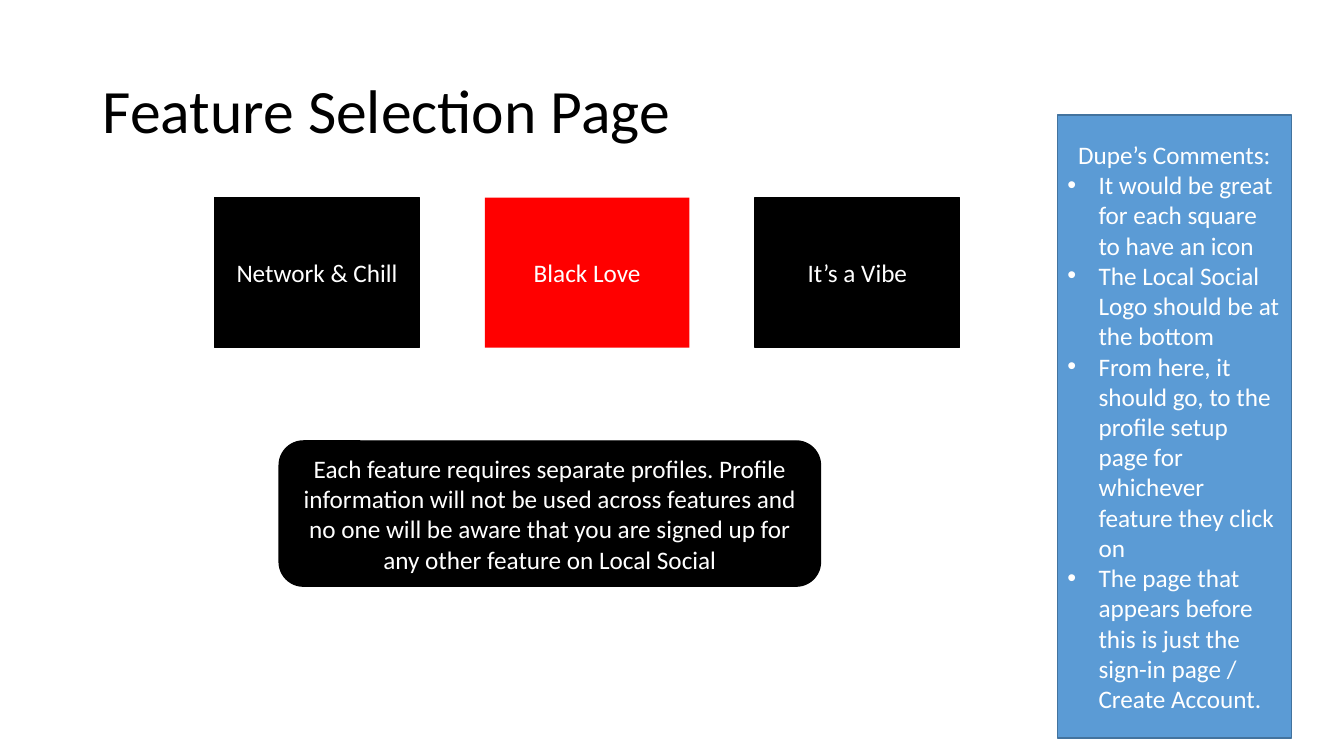
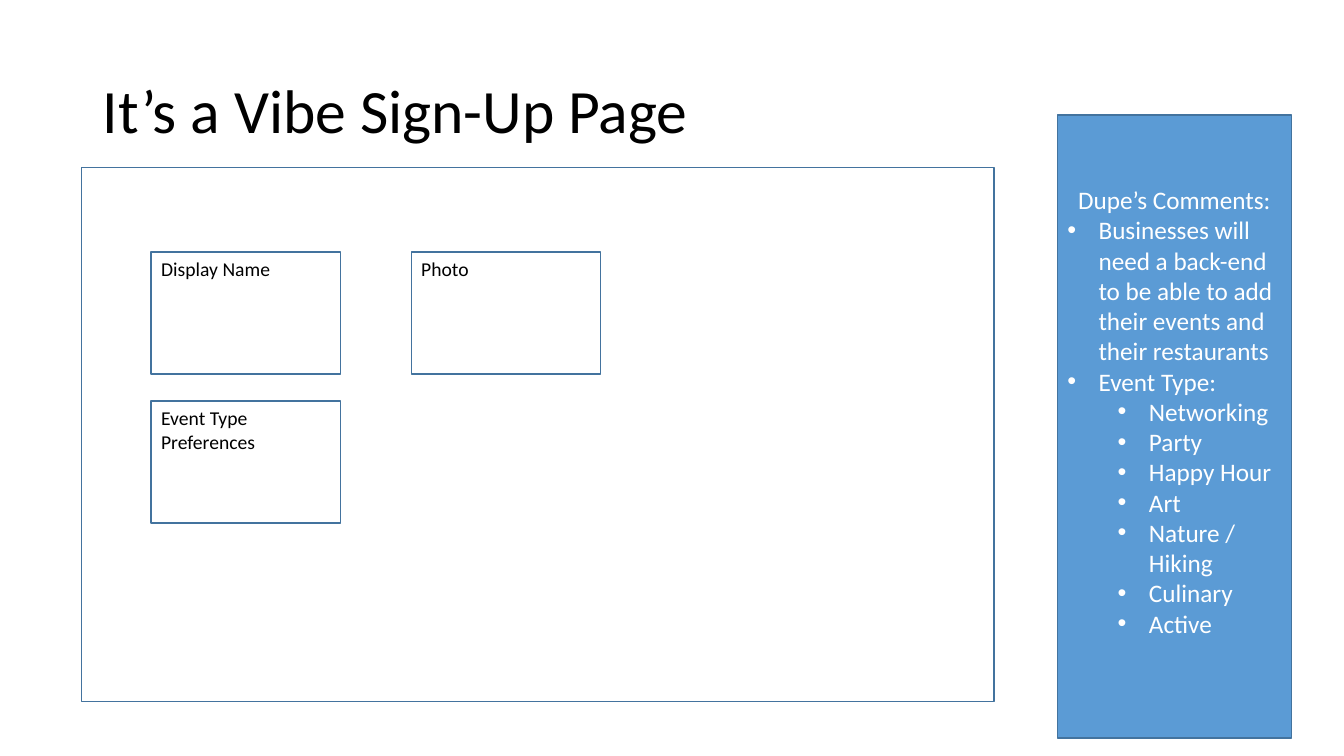
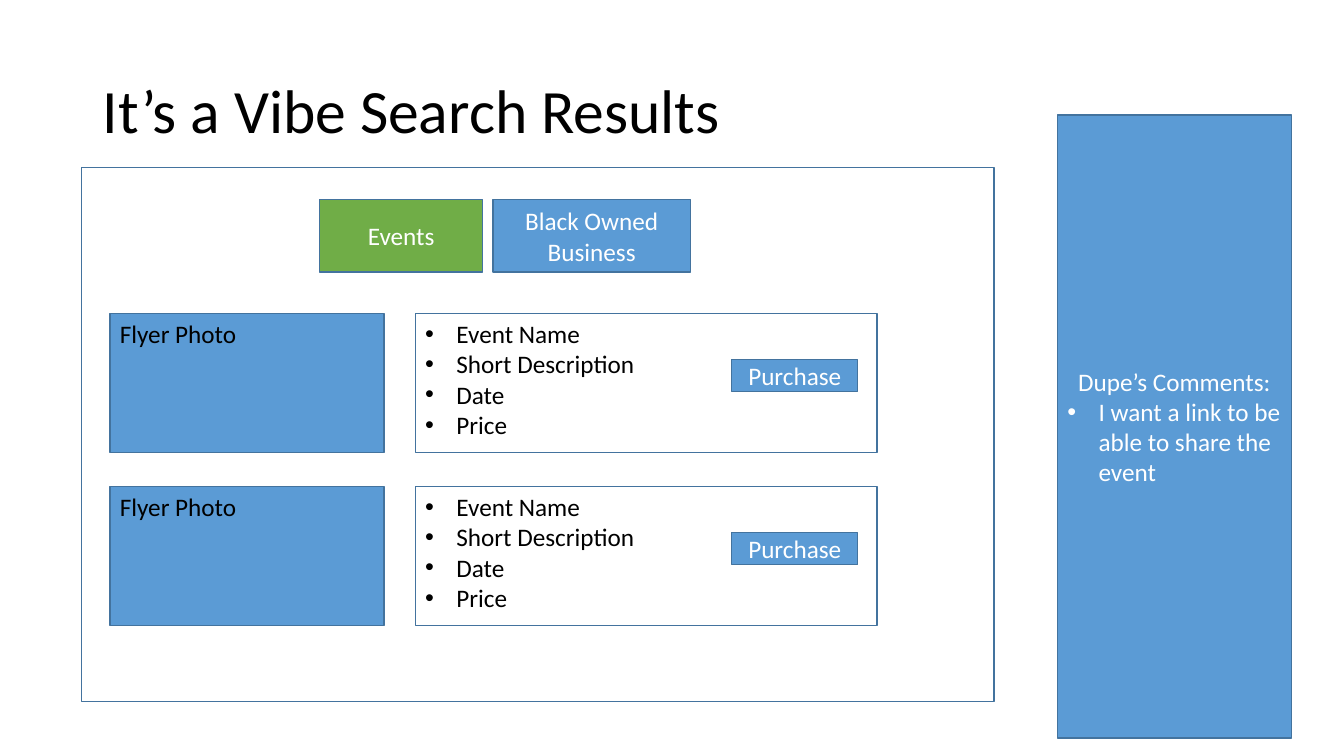
"""Build three wireframe slides for a social app, each with a comments panel."""

from dataclasses import dataclass, replace
from typing import Optional

from lxml.etree import SubElement
from pptx import Presentation
from pptx.dml.color import RGBColor
from pptx.enum.shapes import MSO_SHAPE
from pptx.enum.text import MSO_ANCHOR, MSO_AUTO_SIZE, PP_ALIGN
from pptx.oxml.ns import qn
from pptx.presentation import Presentation as Deck
from pptx.slide import Slide
from pptx.text.text import _Paragraph as Paragraph
from pptx.util import Inches, Pt

COLORS = {
    "black": "000000",
    "white": "FFFFFF",
    "red": "FF0000",
    "blue": "5B9BD5",
    "green": "70AD47",
    "outline": "43739E",
}
FONT = "Calibri"
TITLE_ONLY_LAYOUT = 5
SLIDE_WIDTH = Inches(13.33)
SLIDE_HEIGHT = Inches(7.5)
GRID_COLUMNS = 80
GRID_ROWS = 45
BULLET_INDENT = Inches(0.31)
LEVEL_INDENT = Inches(0.5)


@dataclass(frozen=True)
class Area:
    """A rectangle measured in grid columns and rows."""

    column: float
    row: float
    columns: float
    rows: float

    def moved(self, columns: float = 0, rows: float = 0) -> "Area":
        """Return the same rectangle shifted on the grid."""
        return replace(self, column=self.column + columns, row=self.row + rows)

    def lengths(self) -> tuple[int, int, int, int]:
        """Return left, top, width and height on the slide."""
        column_width = SLIDE_WIDTH / GRID_COLUMNS
        row_height = SLIDE_HEIGHT / GRID_ROWS
        return (
            round(self.column * column_width),
            round(self.row * row_height),
            round(self.columns * column_width),
            round(self.rows * row_height),
        )


@dataclass(frozen=True)
class Line:
    """A paragraph, bulleted when it has a level."""

    text: str
    level: Optional[int] = None


@dataclass(frozen=True)
class Style:
    """The look of a box and its text."""

    fill: Optional[str] = None
    outline: Optional[str] = "outline"
    color: str = "white"
    size: int = 18
    centered: bool = True
    rounded: bool = False
    bottom_inset: float = 0.05


@dataclass(frozen=True)
class Box:
    """A box with its place, look and text."""

    area: Area
    style: Style
    lines: tuple[Line, ...] = ()


TITLE_AREA = Area(5.52, 2.4, 69, 8.7)
PANEL_AREA = Area(62.94, 6.84, 13.92, 37.08)
FRAME_AREA = Area(4.86, 9.96, 54.3, 31.8)

BLACK_CARD = Style(fill="black", outline="black")
RED_CARD = Style(fill="red", outline=None)
NOTICE = replace(BLACK_CARD, rounded=True)
BLUE_BOX = Style(fill="blue")
GREEN_BOX = Style(fill="green")
PHOTO_BOX = Style(fill="blue", color="black", centered=False)
DETAILS_BOX = Style(color="black", centered=False)
FIELD_BOX = replace(DETAILS_BOX, size=14)
FRAME = Box(FRAME_AREA, DETAILS_BOX)


def rgb(name: str) -> RGBColor:
    """Return a named colour."""
    return RGBColor.from_string(COLORS[name])


def add_text(paragraph: Paragraph, text: str, size: int, color: str) -> None:
    """Add one formatted run to a paragraph."""
    run = paragraph.add_run()
    run.text = text
    run.font.name = FONT
    run.font.size = Pt(size)
    run.font.color.rgb = rgb(color)


def add_bullet(paragraph: Paragraph, level: int) -> None:
    """Give a paragraph a hanging bullet at its level."""
    paragraph.level = level
    properties = paragraph._p.get_or_add_pPr()
    properties.set("marL", str(BULLET_INDENT + level * LEVEL_INDENT))
    properties.set("indent", str(-BULLET_INDENT))
    SubElement(properties, qn("a:buFont")).set("typeface", "Arial")
    SubElement(properties, qn("a:buChar")).set("char", "•")


def draw_box(slide: Slide, box: Box) -> None:
    """Draw a box with its text."""
    style = box.style
    kind = MSO_SHAPE.ROUNDED_RECTANGLE if style.rounded else MSO_SHAPE.RECTANGLE
    shape = slide.shapes.add_shape(kind, *box.area.lengths())
    shape.shadow.inherit = False
    if style.fill:
        shape.fill.solid()
        shape.fill.fore_color.rgb = rgb(style.fill)
    else:
        shape.fill.background()
    if style.outline:
        shape.line.color.rgb = rgb(style.outline)
        shape.line.width = Pt(1)
    else:
        shape.line.fill.background()

    frame = shape.text_frame
    frame.word_wrap = True
    frame.vertical_anchor = MSO_ANCHOR.MIDDLE if style.centered else MSO_ANCHOR.TOP
    frame.margin_bottom = Inches(style.bottom_inset)
    for index, line in enumerate(box.lines):
        paragraph = frame.add_paragraph() if index else frame.paragraphs[0]
        is_bullet = line.level is not None
        centered = style.centered and not is_bullet
        paragraph.alignment = PP_ALIGN.CENTER if centered else PP_ALIGN.LEFT
        if is_bullet:
            add_bullet(paragraph, line.level)
        add_text(paragraph, line.text, style.size, style.color)


def labelled(area: Area, style: Style, text: str) -> Box:
    """Return a box with a single line of text."""
    return Box(area, style, (Line(text),))


def comments_panel(*comments: Line, bottom_inset: float = 0.05) -> Box:
    """Return the comments panel of a slide."""
    style = replace(BLUE_BOX, bottom_inset=bottom_inset)
    return Box(PANEL_AREA, style, (Line("Dupe’s Comments:"), *comments))


def add_page(presentation: Deck, title: str, boxes: list[Box]) -> None:
    """Add a slide with the shared title style and its boxes."""
    slide = presentation.slides.add_slide(presentation.slide_layouts[TITLE_ONLY_LAYOUT])
    shape = slide.shapes.title
    shape.left, shape.top, shape.width, shape.height = TITLE_AREA.lengths()
    frame = shape.text_frame
    frame.auto_size = MSO_AUTO_SIZE.NONE
    frame.word_wrap = True
    frame.vertical_anchor = MSO_ANCHOR.MIDDLE
    paragraph = frame.paragraphs[0]
    paragraph.alignment = PP_ALIGN.LEFT
    paragraph.line_spacing = 0.9
    add_text(paragraph, title, 44, "black")
    for box in boxes:
        draw_box(slide, box)


def feature_boxes() -> list[Box]:
    """Return the feature cards, the privacy notice and the comments."""
    first_card = Area(12.78, 11.76, 12.18, 8.94)
    cards = [
        ("Network & Chill", BLACK_CARD),
        ("Black Love", RED_CARD),
        ("It’s a Vibe", BLACK_CARD),
    ]
    return [
        *(
            labelled(first_card.moved(columns=16.08 * index), style, text)
            for index, (text, style) in enumerate(cards)
        ),
        comments_panel(
            Line("It would be great for each square to have an icon", 0),
            Line("The Local Social Logo should be at the bottom", 0),
            Line(
                "From here, it should go, to the profile setup page for "
                "whichever feature they click on",
                0,
            ),
            Line(
                "The page that appears before this is just the sign-in page "
                "/ Create Account.",
                0,
            ),
        ),
        labelled(
            Area(16.62, 26.25, 32.22, 8.64),
            NOTICE,
            "Each feature requires separate profiles. Profile information will "
            "not be used across features and no one will be aware that you are "
            "signed up for any other feature on Local Social",
        ),
    ]


def sign_up_boxes() -> list[Box]:
    """Return the sign-up fields and the comments."""
    first_field = Area(9, 15, 11.28, 7.26)
    event_types = (
        "Networking",
        "Party",
        "Happy Hour",
        "Art",
        "Nature / Hiking",
        "Culinary",
        "Active",
    )
    return [
        FRAME,
        labelled(first_field, FIELD_BOX, "Display Name"),
        labelled(first_field.moved(columns=15.48), FIELD_BOX, "Photo"),
        labelled(first_field.moved(rows=8.88), FIELD_BOX, "Event Type Preferences"),
        comments_panel(
            Line(
                "Businesses will need a back-end to be able to add their "
                "events and their restaurants",
                0,
            ),
            Line("Event Type:", 0),
            *(Line(event_type, 1) for event_type in event_types),
            bottom_inset=0.35,
        ),
    ]


def search_result_boxes() -> list[Box]:
    """Return the result tabs, the event rows and the comments."""
    flyer = Area(6.54, 18.66, 16.32, 8.28)
    details = Area(24.72, 18.66, 27.48, 8.28)
    button = Area(43.56, 21.4, 7.5, 1.92)
    detail_lines = tuple(
        Line(text, 0) for text in ("Event Name", "Short Description", "Date", "Price")
    )
    boxes = [
        FRAME,
        labelled(Area(19.02, 11.88, 9.72, 4.32), GREEN_BOX, "Events"),
        labelled(Area(29.34, 11.88, 11.76, 4.32), BLUE_BOX, "Black Owned Business"),
    ]
    for offset in (0, 10.3):
        boxes += [
            Box(details.moved(rows=offset), DETAILS_BOX, detail_lines),
            labelled(flyer.moved(rows=offset), PHOTO_BOX, "Flyer Photo"),
            labelled(button.moved(rows=offset), BLUE_BOX, "Purchase"),
        ]
    boxes.append(
        comments_panel(Line("I want a link to be able to share the event", 0))
    )
    return boxes


def main() -> None:
    """Build and save the presentation."""
    presentation = Presentation()
    presentation.slide_width = SLIDE_WIDTH
    presentation.slide_height = SLIDE_HEIGHT
    add_page(presentation, "Feature Selection Page", feature_boxes())
    add_page(presentation, "It’s a Vibe Sign-Up Page", sign_up_boxes())
    add_page(presentation, "It’s a Vibe Search Results", search_result_boxes())
    presentation.save("out.pptx")


main()
